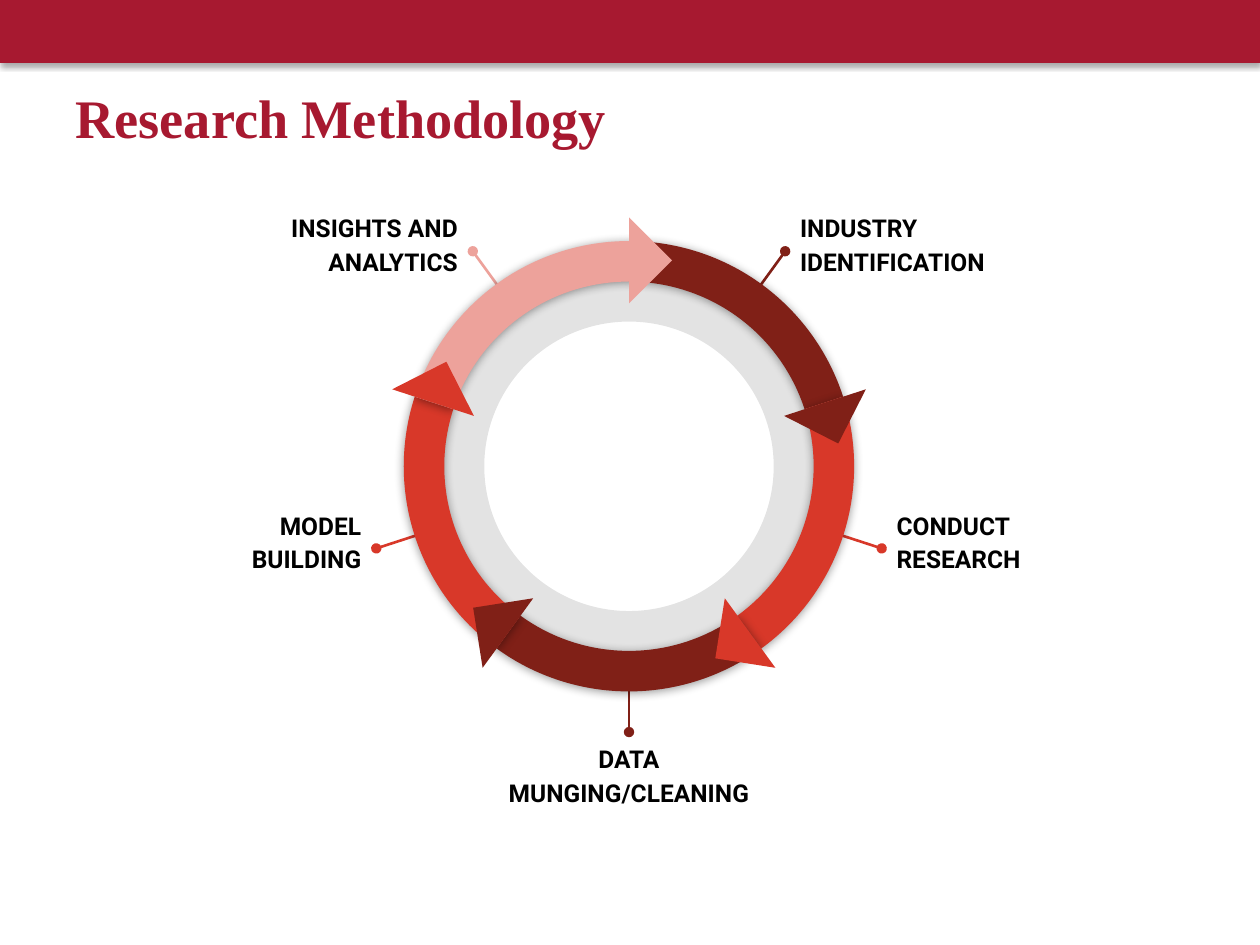
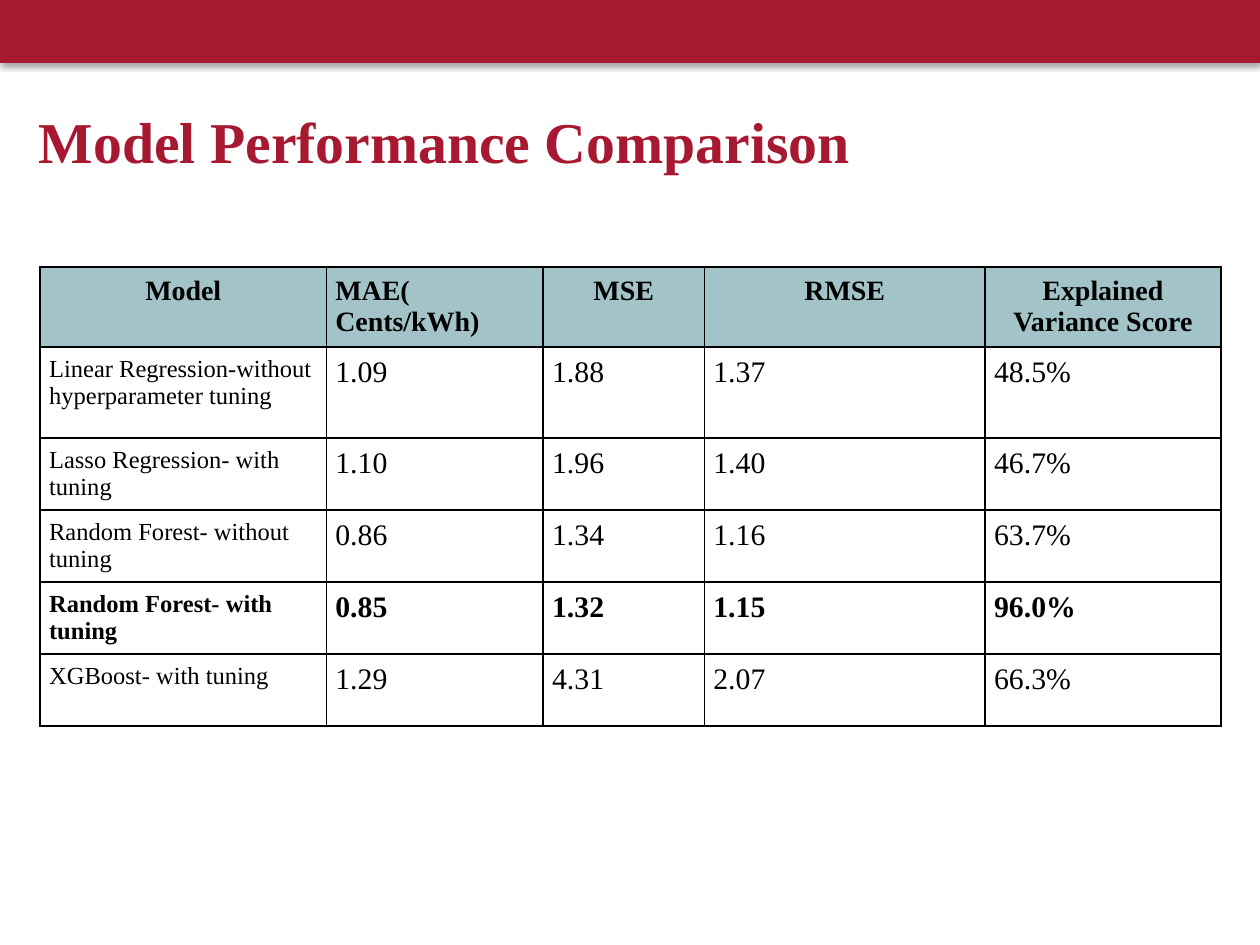
"""Build two slides: a research cycle and a model comparison table."""
import math

import pptx
import pptx.dml.color
import pptx.enum.shapes
import pptx.enum.text
import pptx.oxml
import pptx.oxml.ns
import pptx.util

Cm = pptx.util.Cm
Pt = pptx.util.Pt
RGB = pptx.dml.color.RGBColor
KIND = pptx.enum.shapes.MSO_SHAPE
ALIGN = pptx.enum.text.PP_ALIGN
ANCHOR = pptx.enum.text.MSO_ANCHOR
qn = pptx.oxml.ns.qn
NS = pptx.oxml.ns.nsdecls("a")

CRIMSON = RGB(0xA7, 0x19, 0x30)
MAROON = RGB(0x80, 0x20, 0x17)
SCARLET = RGB(0xD8, 0x38, 0x29)
ROSE = RGB(0xED, 0xA2, 0x9B)
TEAL = RGB(0xA2, 0xC4, 0xC9)
BLACK = RGB(0, 0, 0)
SERIF = "Times New Roman"
SANS = "Roboto"

STEPS = [
    ("INDUSTRY IDENTIFICATION", MAROON, 5, ALIGN.LEFT),
    ("CONDUCT RESEARCH", SCARLET, 5, ALIGN.LEFT),
    ("DATA MUNGING/CLEANING", MAROON, 5.54, ALIGN.CENTER),
    ("MODEL\nBUILDING", SCARLET, 3.18, ALIGN.RIGHT),
    ("INSIGHTS AND ANALYTICS", ROSE, 5, ALIGN.RIGHT),
]
HEADS = ["Model", "MAE( Cents/kWh)", "MSE", "RMSE", "Explained Variance Score"]
MODELS = [
    ("Linear Regression-without hyperparameter tuning", "1.09", "1.88", "1.37", "48.5%"),
    ("Lasso Regression- with tuning", "1.10", "1.96", "1.40", "46.7%"),
    ("Random Forest- without tuning", "0.86", "1.34", "1.16", "63.7%"),
    ("Random Forest- with tuning", "0.85", "1.32", "1.15", "96.0%"),
    ("XGBoost- with tuning", "1.29", "4.31", "2.07", "66.3%"),
]
BEST = 4
WIDTHS = [5.77, 4.37, 3.25, 5.66, 4.75]
HEIGHTS = [1.07, 1.83, 1.45, 1.45, 1.45, 1.45]


def style(frame, font, size, color, bold, align, space=None):
    """Format every paragraph of a text frame alike."""
    for para in frame.paragraphs:
        para.font.name = font
        para.font.size = Pt(size)
        para.font.color.rgb = color
        para.font.bold = bold
        para.alignment = align
        if space:
            para.line_spacing = space


def draw(slide, kind, box, color):
    """Add a flat filled shape in a box of centimetres."""
    shape = slide.shapes.add_shape(kind, *map(Cm, box))
    shape.shadow.inherit = False
    shape.fill.solid()
    shape.fill.fore_color.rgb = color
    shape.line.fill.background()
    return shape


def shade(shape, alpha, blur, dist):
    """Give a shape a soft shadow that falls straight down."""
    shape.element.spPr.find(qn("a:effectLst")).append(pptx.oxml.parse_xml(
        f'<a:outerShdw {NS} blurRad="{Pt(blur)}" dist="{Pt(dist)}" dir="5400000" '
        f'algn="t" rotWithShape="0"><a:srgbClr val="{BLACK}">'
        f'<a:alpha val="{alpha * 1000}"/></a:srgbClr></a:outerShdw>'))


def add_band(deck, slide):
    """Put the top band on the slide master, behind its placeholders."""
    band = draw(slide, KIND.RECTANGLE, (0, 0, 25.4, 1.27), CRIMSON)
    shade(band, 35, 3.1, 1.8)
    deck.slide_master.shapes.element.insert(2, band.element)


def add_title(slide, text, box, size, anchor):
    """Place and format the title."""
    title = slide.shapes.title
    title.left, title.top, title.width, title.height = map(Cm, box)
    frame = title.text_frame
    frame.text = text
    frame.word_wrap = True
    frame.auto_size = pptx.enum.text.MSO_AUTO_SIZE.NONE
    frame.vertical_anchor = anchor
    style(frame, SERIF, size, CRIMSON, True, ALIGN.LEFT)


def add_label(slide, x, y, text, width, align):
    """Write a step name beside the tip of its leader."""
    left = {ALIGN.LEFT: x + 0.05, ALIGN.RIGHT: x - width - 0.05,
            ALIGN.CENTER: x - width / 2}[align]
    top = y - (0.1 if align == ALIGN.CENTER else 1.1)
    box = slide.shapes.add_textbox(Cm(left), Cm(top), Cm(width), Cm(2.26))
    frame = box.text_frame
    frame.word_wrap = True
    frame.margin_top = frame.margin_bottom = Cm(0.25)
    frame.text = text
    style(frame, SANS, 14, BLACK, True, align, 1.15)


def add_lead(slide, tip, base, color):
    """Draw a leader with a dot at its tip."""
    lead = slide.shapes.add_connector(
        pptx.enum.shapes.MSO_CONNECTOR.STRAIGHT, *map(Cm, tip + base))
    lead.line.color.rgb = color
    lead.line.width = Pt(1.5)
    props = lead.element.spPr
    props.find(qn("a:ln")).append(pptx.oxml.parse_xml(f'<a:headEnd {NS} type="oval"/>'))
    props.append(pptx.oxml.parse_xml(f"<a:effectLst {NS}/>"))


def add_cycle(slide, left, top, size):
    """Draw the ring of steps in a square box, clockwise from the top."""
    mid_x, mid_y, radius = left + size / 2, top + size / 2, size / 2
    turn = 360 / len(STEPS)

    def polar(angle, ratio):
        rad = math.radians(angle)
        return (mid_x + ratio * radius * math.cos(rad),
                mid_y + ratio * radius * math.sin(rad))

    inset = 0.055 * radius
    ring = draw(slide, KIND.DONUT,
                (left + inset, top + inset, size - 2 * inset, size - 2 * inset), BLACK)
    ring.adjustments[0] = 0.16
    tint = ring.element.spPr.find(qn("a:solidFill"))[0]
    tint.append(pptx.oxml.parse_xml(f'<a:alpha {NS} val="11000"/>'))

    for i, (text, color, width, align) in enumerate(STEPS):
        angle = turn * (i + 0.5) - 90
        tip = polar(angle, 1.18)
        add_lead(slide, tip, polar(angle, 0.83), color)
        add_label(slide, *tip, text, width, align)
    for i, step in enumerate(STEPS):
        arc = draw(slide, KIND.BLOCK_ARC, (left, top, size, size), step[1])
        start = turn * i - 90
        arc.adjustments[0] = start % 360 * 0.6
        arc.adjustments[1] = (start + turn) % 360 * 0.6
        arc.adjustments[2] = 0.09
        shade(arc, 40, 5.6, 0.8)
    side = 0.27 * radius
    for i, step in enumerate(STEPS):
        angle = turn * (i + 1) - 90
        x, y = polar(angle, 0.915)
        head = draw(slide, KIND.RIGHT_TRIANGLE,
                    (x - side / 2, y - side / 2, side, side), step[1])
        head.rotation = (angle - 45) % 360


def fill_cell(cell, text, row, col):
    """Write and format one table cell with thin black borders."""
    cell.text = text
    for edge in ("left", "right", "top", "bottom"):
        setattr(cell, "margin_" + edge, Cm(0.18))
    head = row == 0
    size = 16 if head else 17 if col else 14
    align = ALIGN.CENTER if head and col != 1 else ALIGN.LEFT
    style(cell.text_frame, SERIF, size, BLACK, row in (0, BEST), align)
    props = cell._tc.get_or_add_tcPr()
    for edge in "LRTB":
        props.append(pptx.oxml.parse_xml(
            f'<a:ln{edge} {NS} w="{Pt(1)}"><a:solidFill><a:srgbClr val="{BLACK}"/>'
            f"</a:solidFill></a:ln{edge}>"))
    if head:
        cell.fill.solid()
        cell.fill.fore_color.rgb = TEAL
    else:
        cell.fill.background()


def add_grid(slide, left, top):
    """Add the table of model scores."""
    rows = [HEADS, *MODELS]
    table = slide.shapes.add_table(
        len(rows), len(HEADS), Cm(left), Cm(top),
        Cm(sum(WIDTHS)), Cm(sum(HEIGHTS))).table
    table.first_row = table.horz_banding = False
    for column, width in zip(table.columns, WIDTHS):
        column.width = Cm(width)
    for r, (row, height) in enumerate(zip(rows, HEIGHTS)):
        table.rows[r].height = Cm(height)
        for c, text in enumerate(row):
            fill_cell(table.cell(r, c), text, r, c)


def main():
    """Build and save the deck."""
    deck = pptx.Presentation()
    deck.slide_width, deck.slide_height = Cm(25.4), Cm(19.05)
    layout = deck.slide_layouts[5]

    method = deck.slides.add_slide(layout)
    add_band(deck, method)
    add_title(method, "Research Methodology", (1.27, 0.76, 22.86, 3.18), 31, ANCHOR.MIDDLE)
    add_cycle(method, 8.14, 4.86, 9.08)

    scores = deck.slides.add_slide(layout)
    add_title(scores, "Model Performance Comparison", (0.53, 2, 23.24, 1.93), 33, ANCHOR.TOP)
    add_grid(scores, 0.81, 5.38)
    deck.save("out.pptx")


if __name__ == "__main__":
    main()
